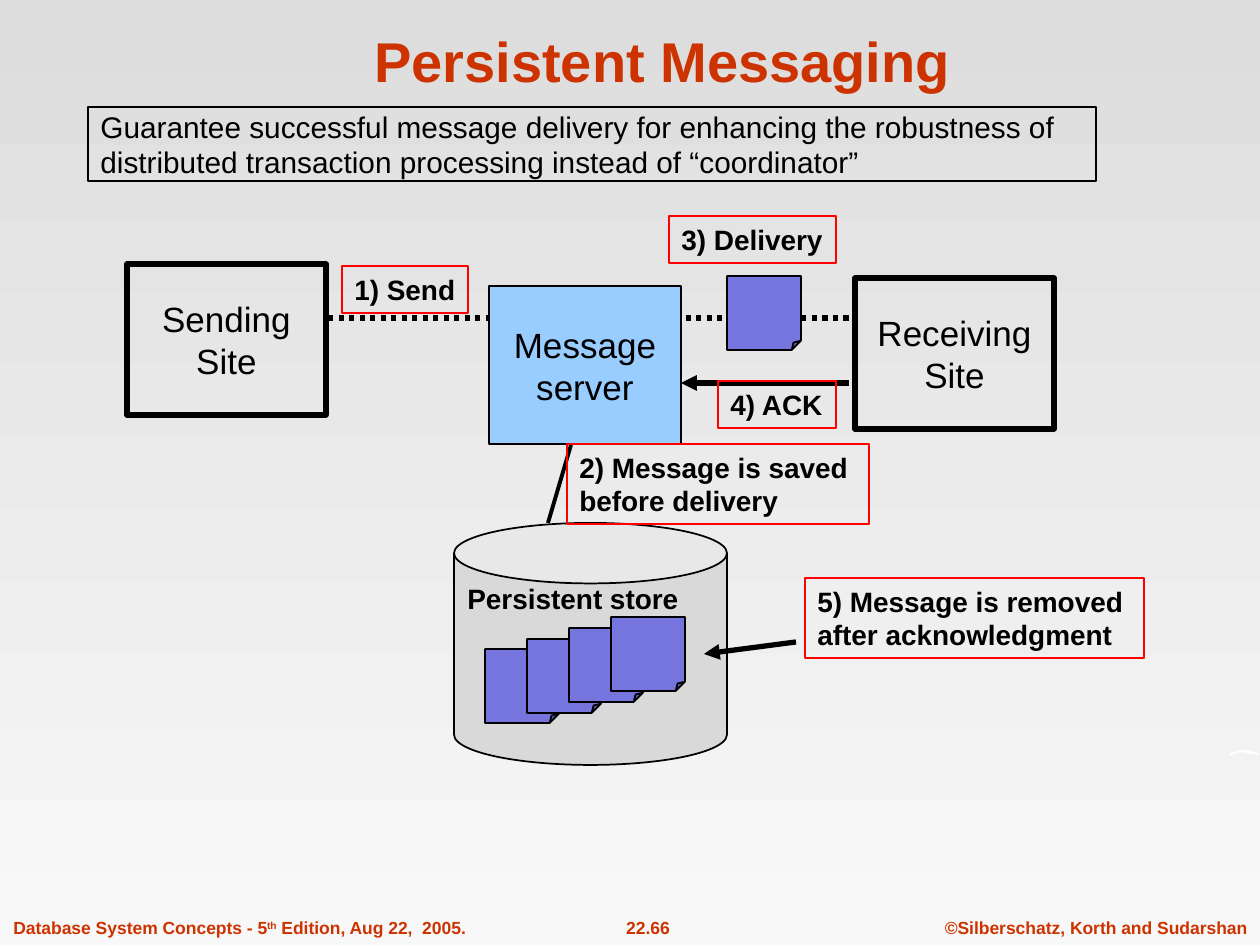
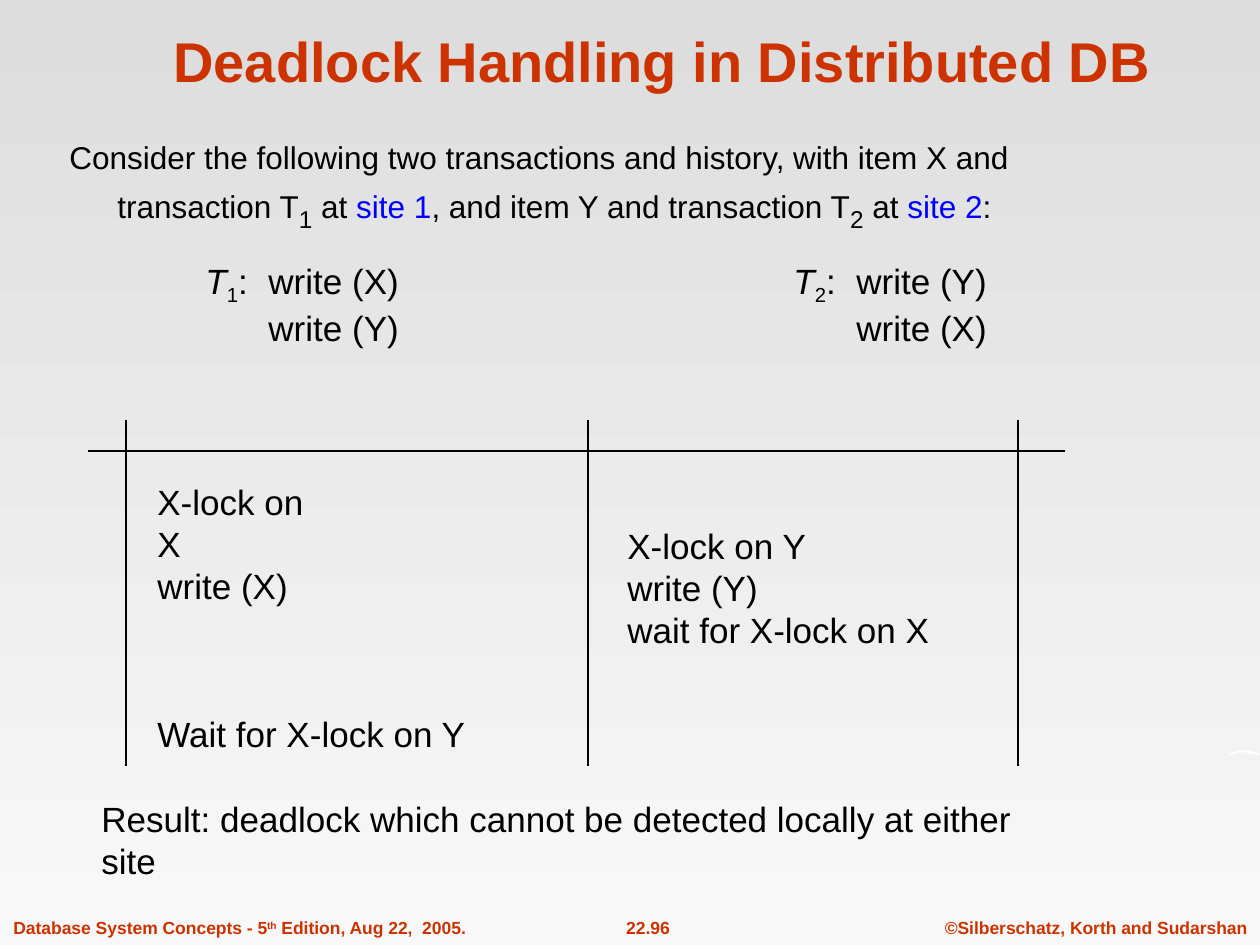
from dataclasses import dataclass

from lxml.etree import SubElement
from pptx import Presentation
from pptx.dml.color import RGBColor
from pptx.enum.dml import MSO_LINE as DASH
from pptx.enum.shapes import MSO_CONNECTOR, MSO_SHAPE as SHAPE
from pptx.enum.text import MSO_ANCHOR as ANCHOR, MSO_AUTO_SIZE, PP_ALIGN as ALIGN
from pptx.oxml.ns import qn
from pptx.util import Emu, Pt


@dataclass(frozen=True)
class Theme:
    font: str = "Arial"
    accent: RGBColor = RGBColor.from_string("CC3300")
    ink: RGBColor = RGBColor.from_string("000000")
    label: RGBColor = RGBColor.from_string("FF0000")
    site: RGBColor = RGBColor.from_string("0000FF")
    server: RGBColor = RGBColor.from_string("99CCFF")
    message: RGBColor = RGBColor.from_string("7575DD")
    store: RGBColor = RGBColor.from_string("D9D9D9")
    white: RGBColor = RGBColor.from_string("FFFFFF")
    sky_top: RGBColor = RGBColor.from_string("DDDDDD")
    sky_bottom: RGBColor = RGBColor.from_string("F8F8F8")
    title_size: int = 32
    large: int = 20
    body: int = 18
    intro: int = 17
    label_size: int = 16
    footer: int = 10


theme = Theme()
PX = 914400 / 126  # EMU in one px


def add_box(page, rect, lines=(), size=theme.large, kind=None, fill=None, line=None, weight=1,
            color=theme.ink, bold=False, align=ALIGN.LEFT, anchor=ANCHOR.TOP, wrap=False):
    """Add a preset shape, or a text box when no kind is given.

    Each line is a string or a list of (text, style) spans.
    """
    place = [Emu(round(value * PX)) for value in rect]
    if kind is None:
        box = page.shapes.add_textbox(*place)
    else:
        box = page.shapes.add_shape(kind, *place)
        box.shadow.inherit = False
        if fill is None:
            box.fill.background()
        else:
            box.fill.solid()
            box.fill.fore_color.rgb = fill
        box.line.color.rgb = line
        box.line.width = Pt(weight)
    frame = box.text_frame
    frame.word_wrap, frame.vertical_anchor = wrap, anchor
    for index, spans in enumerate(lines):
        para = frame.add_paragraph() if index else frame.paragraphs[0]
        para.alignment = align
        font = para.font
        font.name, font.size, font.bold, font.color.rgb = theme.font, Pt(size), bold, color
        for text, style in [(spans, {})] if isinstance(spans, str) else spans:
            span = para.add_run()
            span.text = text
            if "italic" in style:
                span.font.italic = style["italic"]
            if "size" in style:
                span.font.size = Pt(style["size"])
            if "color" in style:
                span.font.color.rgb = style["color"]
            if "baseline" in style:
                span._r.get_or_add_rPr().set("baseline", str(style["baseline"] * 1000))
    return box


def add_line(page, start, end, weight, dash=None, arrow=False):
    ends = [Emu(round(value * PX)) for value in (*start, *end)]
    line = page.shapes.add_connector(MSO_CONNECTOR.STRAIGHT, *ends)
    line.line.color.rgb = theme.ink
    line.line.width = Pt(weight)
    if dash:
        line.line.dash_style = dash
    if arrow:
        SubElement(line.line._get_or_add_ln(), qn("a:tailEnd"), type="triangle")
    SubElement(line._element.spPr, qn("a:effectLst"))


deck = Presentation()
deck.slide_width = Emu(round(1260 * PX))
deck.slide_height = Emu(round(945 * PX))

# Shared background
sky = deck.slide_master.background.fill
sky.gradient()
sky.gradient_angle = 270
for stop, tone in zip(sky.gradient_stops, (theme.sky_top, theme.sky_bottom)):
    stop.color.rgb = tone

# Shared title, footers and white stroke at the right edge
stroke = [(1228, 757), (1231, 753), (1237, 751), (1243, 750), (1250, 751), (1260, 754),
          (1257, 755), (1247, 753), (1243, 752), (1237, 753), (1232, 755)]
pages = []
for heading, number in [("Persistent Messaging", "22.66"),
                        ("Deadlock Handling in Distributed DB", "22.96")]:
    page = deck.slides.add_slide(deck.slide_layouts[5])
    pages.append(page)

    title = page.shapes.title
    title.left, title.top, title.width, title.height = (
        Emu(round(value * PX)) for value in (106, 16, 1113, 84))
    title.text_frame.text = heading
    title.text_frame.vertical_anchor = ANCHOR.BOTTOM
    title.text_frame.auto_size = MSO_AUTO_SIZE.NONE
    para = title.text_frame.paragraphs[0]
    para.alignment = ALIGN.CENTER
    font = para.font
    font.name, font.size, font.bold = theme.font, Pt(theme.title_size), True
    font.color.rgb = theme.accent

    edition = [("Database System Concepts - 5", {}), ("th", {"baseline": 30}),
               (" Edition, Aug 22,  2005.", {})]
    for left, width, words, align in [
            (1, 478, edition, ALIGN.LEFT),
            (581, 134, number, ALIGN.CENTER),
            (932, 328, "©Silberschatz, Korth and Sudarshan", ALIGN.CENTER)]:
        add_box(page, (left, 911, width, 34), [words], theme.footer,
                color=theme.accent, bold=True, align=align)

    outline = page.shapes.build_freeform(*stroke[0], scale=PX)
    outline.add_line_segments(stroke[1:], close=True)
    swoosh = outline.convert_to_shape()
    swoosh.shadow.inherit = False
    swoosh.fill.solid()
    swoosh.fill.fore_color.rgb = theme.white
    swoosh.line.fill.background()

messaging, deadlock = pages

# Messaging: line from sender to receiver, message server and store
add_line(messaging, (328, 318), (853, 318), 3, dash=DASH.ROUND_DOT)

# Messaging: one message on its way, behind the server
stored = [(485 + 42 * step, 649 - 32 * step // 3) for step in range(4)]
notes = [add_box(messaging, (727, 276, 74, 74), kind=SHAPE.FOLDED_CORNER,
                 fill=theme.message, line=theme.ink)]
add_box(messaging, (489, 286, 192, 158), ["Message", "server"], kind=SHAPE.RECTANGLE,
        fill=theme.server, line=theme.ink, align=ALIGN.CENTER, anchor=ANCHOR.MIDDLE)
add_box(messaging, (454, 523, 273, 242), kind=SHAPE.CAN, fill=theme.store, line=theme.ink)
add_line(messaging, (571, 445), (548, 523), 2.25)
add_box(messaging, (455, 575, 236, 47), ["Persistent store"], theme.label_size, bold=True)

# Messaging: four messages in the store, all with a small fold
notes += [add_box(messaging, (left, top, 74, 74), kind=SHAPE.FOLDED_CORNER,
                  fill=theme.message, line=theme.ink) for left, top in stored]
for note in notes:
    guides = note._element.spPr.find(qn("a:prstGeom")).get_or_add_avLst()
    SubElement(guides, qn("a:gd"), name="adj", fmla="val 12500")

# Messaging: arrows and numbered steps
add_line(messaging, (796, 642), (704, 654), 3, arrow=True)
add_line(messaging, (849, 383), (681, 383), 3, arrow=True)
for rect, lines in [
        ((805, 578, 339, 80), ["5) Message is removed", "after acknowledgment"]),
        ((718, 381, 118, 47), ["4) ACK"]),
        ((567, 444, 302, 80), ["2) Message is saved", "before delivery"]),
        ((342, 266, 126, 47), ["1) Send"]),
        ((669, 216, 167, 47), ["3) Delivery"])]:
    add_box(messaging, rect, lines, theme.label_size, SHAPE.RECTANGLE,
            line=theme.label, bold=True)

# Messaging: the two sites and the opening statement
for left, top, name in [(127, 264, "Sending"), (855, 278, "Receiving")]:
    add_box(messaging, (left, top, 199, 151), [name, "Site"], kind=SHAPE.RECTANGLE,
            line=theme.ink, weight=3, align=ALIGN.CENTER, anchor=ANCHOR.MIDDLE)
add_box(messaging, (88, 107, 1008, 74),
        ["Guarantee successful message delivery for enhancing the robustness of",
         "distributed transaction processing instead of “coordinator”"],
        theme.intro, SHAPE.RECTANGLE, line=theme.ink, weight=0.75,
        anchor=ANCHOR.MIDDLE, wrap=True)

# Deadlock: opening statement with a hanging indent
low = {"size": 24, "baseline": -25}
blue = {"color": theme.site}
statement = add_box(deadlock, (57, 132, 1091, 106), [[
    ("Consider the following two transactions and history, with item X and transaction T", {}),
    ("1", low), (" at ", {}), ("site 1", blue),
    (", and item Y and transaction T", {}),
    ("2", low), (" at ", {}), ("site 2", blue), (":", {})]], theme.body, wrap=True)
indent = statement.text_frame.paragraphs[0]._p.get_or_add_pPr()
indent.set("marL", str(round(48 * PX)))
indent.set("indent", str(round(-48 * PX)))

# Deadlock: the two transactions
for left, number, first, second in [(193, "1", "X", "Y"), (781, "2", "Y", "X")]:
    add_box(deadlock, (left, 253, 281, 103), [
        [("T", {"italic": True}), (number, {"baseline": -25}), (f":\twrite ({first})", {})],
        f"\twrite ({second})"])

# Deadlock: ruled history
for x in (126, 588, 1018):
    add_line(deadlock, (x, 420), (x, 766), 0.75)
add_line(deadlock, (88, 451), (1065, 451), 0.75)

# Deadlock: locks in the order they are asked for, and the result
for rect, lines in [
        ((145, 474, 204, 97), ["X-lock on X", "write (X)"]),
        ((615, 518, 328, 139), ["X-lock on Y", "write (Y)", "wait for X-lock on X"]),
        ((145, 706, 335, 55), ["Wait for X-lock on Y"]),
        ((89, 791, 999, 55),
         ["Result: deadlock which cannot be detected locally at either site"])]:
    add_box(deadlock, rect, lines)

deck.save("out.pptx")
